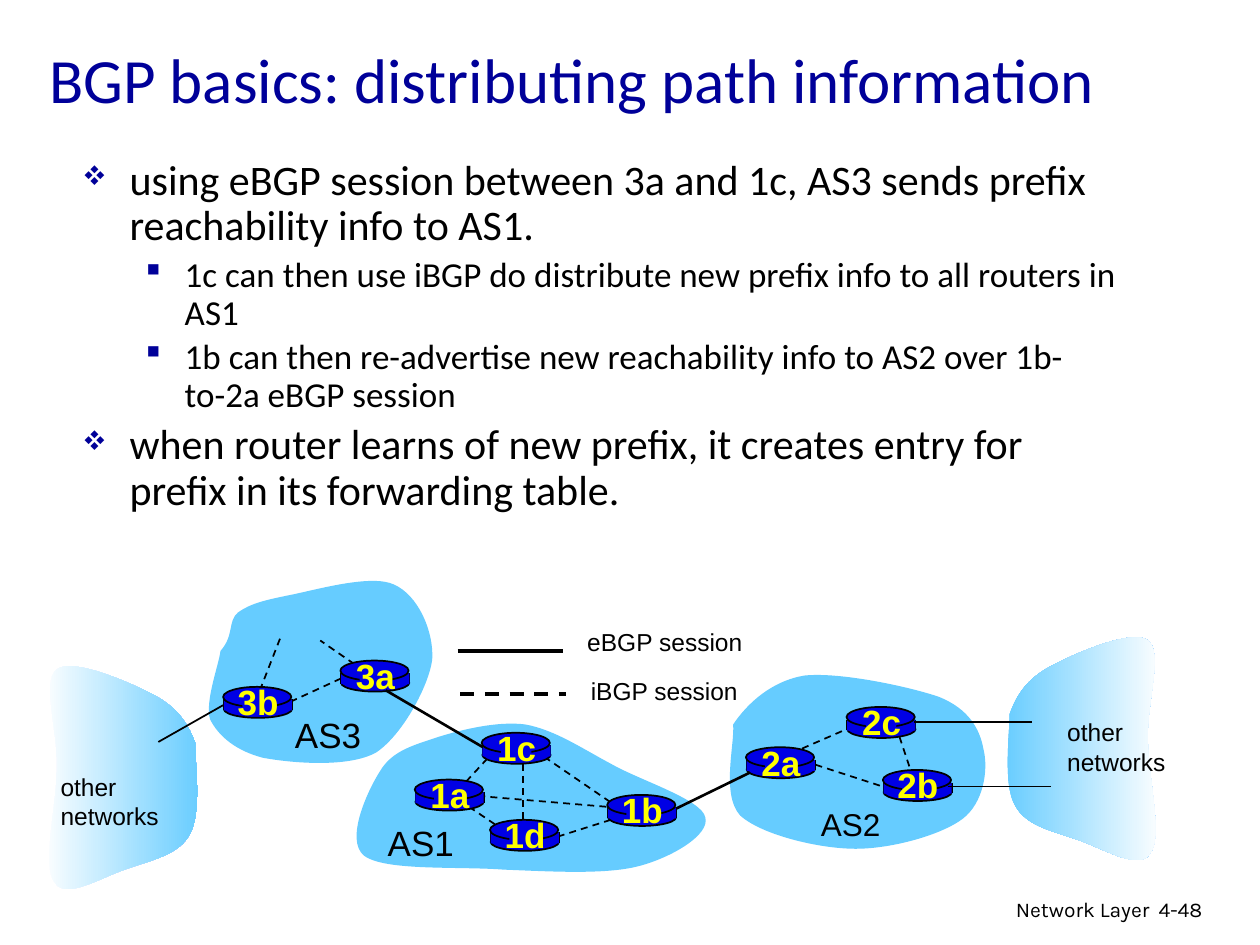
"""Builds the slide on how BGP distributes path information."""
import lxml.etree
import pptx
import pptx.dml.color
import pptx.enum.dml
import pptx.enum.shapes
import pptx.enum.text
import pptx.oxml.ns
import pptx.util

Pt = pptx.util.Pt
Rgb = pptx.dml.color.RGBColor.from_string
Shape = pptx.enum.shapes.MSO_SHAPE
Align = pptx.enum.text.PP_ALIGN
Fit = pptx.enum.text.MSO_AUTO_SIZE
qn = pptx.oxml.ns.qn
colors = {"navy": "000099", "sky": "66CCFF", "blue": "0000E5",
          "yellow": "FFFF00", "black": "000000", "white": "FFFFFF"}


def write(shapes, area, lines, size, face="Arial", color="black",
          align=Align.LEFT, bold=False, wrap=False):
    frame = shapes.add_textbox(*map(Pt, area)).text_frame
    frame.word_wrap = wrap
    frame.auto_size = Fit.NONE if wrap else Fit.SHAPE_TO_FIT_TEXT
    for i, words in enumerate(lines):
        para = frame.paragraphs[0] if i == 0 else frame.add_paragraph()
        para.alignment = align
        run = para.add_run()
        run.text = words
        run.font.name, run.font.size, run.font.bold = face, Pt(size), bold
        run.font.color.rgb = Rgb(colors[color])
    return frame


def join(shapes, ends, width=1, dashed=False):
    link = shapes.add_connector(pptx.enum.shapes.MSO_CONNECTOR.STRAIGHT, *map(Pt, ends))
    link.line.width = Pt(width)
    link.line.color.rgb = Rgb(colors["black"])
    if dashed:
        link.line.dash_style = pptx.enum.dml.MSO_LINE.DASH
    lxml.etree.SubElement(link._element.spPr, qn("a:effectLst"))


deck = pptx.Presentation()
deck.slide_width, deck.slide_height = Pt(720), Pt(540)
slide = deck.slides.add_slide(deck.slide_layouts[6])
items = slide.shapes

title = write(items, (21, 0, 633, 90), ["BGP basics: distributing path information"],
              36, "Calibri", "navy", wrap=True)
title.vertical_anchor = pptx.enum.text.MSO_ANCHOR.MIDDLE

points = [
    (0, "using eBGP session between 3a and 1c, AS3 sends prefix reachability info to AS1."),
    (1, "1c can then use iBGP do distribute new prefix info to all routers in AS1"),
    (1, "1b can then re-advertise new reachability info to AS2 over 1b-to-2a eBGP session"),
    (0, "when router learns of new prefix, it creates entry for prefix in its forwarding table."),
]
levels = [("v", 65, 27, 27, 24), ("§", 100, 58.5, 22.5, 20)]
body = write(items, (40, 87.5, 612, 186.5), [words for _, words in points],
             24, "Calibri", wrap=True)
for i, (level, _) in enumerate(points):
    mark, scale, left, hang, size = levels[level]
    para = body.paragraphs[i]
    para.level = level
    props = para._p.get_or_add_pPr()
    props.set("marL", str(Pt(left)))
    props.set("indent", str(-Pt(hang)))
    tint = lxml.etree.SubElement(props, qn("a:buClr"))
    lxml.etree.SubElement(tint, qn("a:srgbClr"), val=colors["navy"])
    lxml.etree.SubElement(props, qn("a:buSzPct"), val=str(scale * 1000))
    lxml.etree.SubElement(props, qn("a:buFont"), typeface="Wingdings", charset="2")
    lxml.etree.SubElement(props, qn("a:buChar"), char=mark)
    para.line_spacing = 0.9
    para.space_before = Pt(size / 5 if i else 0)
    para.runs[0].font.size = Pt(size)

outer = [(577, 408), (581, 397), (587, 388), (600, 381), (613, 374), (647, 359), (656, 366),
         (665, 373), (655, 402), (656, 423), (656, 444), (665, 479), (657, 488),
         (651, 498), (629, 484), (616, 480), (602, 475), (586, 472), (580, 460),
         (573, 448), (577, 419), (577, 408)]
mirror = [(688.5 - x, y + 16.5) for x, y in outer]
as1 = [(217, 441), (224, 429), (236, 426), (251, 421), (264, 417), (284, 412), (300, 414),
       (317, 417), (333, 428), (350, 437), (366, 446), (401, 457), (403, 467),
       (406, 477), (384, 490), (365, 495), (346, 500), (314, 498), (288, 497),
       (262, 495), (220, 498), (208, 489), (197, 480), (210, 452), (217, 441)]
as2 = [(419, 414), (427, 402), (441, 389), (460, 386), (480, 384), (518, 392), (536, 398),
       (554, 405), (560, 417), (562, 428), (565, 440), (562, 459), (550, 468),
       (538, 477), (510, 485), (489, 485), (468, 485), (435, 477), (423, 466),
       (412, 454), (420, 425), (419, 414)]
as3 = [(126, 372), (134, 363), (130, 355), (136, 350), (143, 345), (151, 343), (166, 340),
       (181, 337), (212, 328), (225, 334), (239, 340), (248, 361), (247, 377),
       (245, 392), (230, 420), (215, 430), (199, 439), (166, 436), (150, 433),
       (135, 429), (125, 421), (120, 411), (117, 401), (125, 380), (126, 372)]
clouds = [(outer, ("sky", "white")), (mirror, ("white", "sky")),
          (as1, ("sky",)), (as2, ("sky",)), (as3, ("sky",))]
for knots, tints in clouds:
    pen = items.build_freeform(*map(Pt, knots[0]))
    pen.add_line_segments([(Pt(x), Pt(y)) for x, y in knots[1:]], close=True)
    cloud = pen.convert_to_shape()
    legs = list(cloud._element.iter(qn("a:lnTo")))
    for k in range(0, len(legs), 3):
        bend = lxml.etree.Element(qn("a:cubicBezTo"))
        legs[k].addprevious(bend)
        for leg in legs[k:k + 3]:
            bend.append(leg[0])
            leg.getparent().remove(leg)
    cloud.shadow.inherit = False
    cloud.line.fill.background()
    if len(tints) == 1:
        cloud.fill.solid()
        cloud.fill.fore_color.rgb = Rgb(colors[tints[0]])
    else:
        cloud.fill.gradient()
        cloud.fill.gradient_angle = 0
        for stop, tint in zip(cloud.fill.gradient_stops, tints):
            stop.color.rgb = Rgb(colors[tint])

inner = [
    (166, 401, 197.5, 386.5), (202.5, 379.5, 183, 366), (160, 365, 148.5, 394.5),
    (278.5, 433.5, 266.5, 446.5), (299, 436.5, 299, 472.5), (311, 432.5, 350.5, 459.5),
    (349, 468.5, 319, 478), (346.5, 461, 275, 455), (268, 461, 283.5, 471.5),
    (452, 430.5, 486.5, 415.5), (466, 437, 504.5, 449.5), (514, 421, 520, 439),
]
for ends in inner:
    join(items, ends, dashed=True)

routers = [("3b", 127.5, 392.5), ("3a", 194.5, 377.5), ("1c", 275.25, 418.75),
           ("1a", 237, 445.5), ("1d", 280, 468.5), ("1b", 347, 454.25),
           ("2a", 426.25, 427), ("2c", 483.75, 404), ("2b", 504.5, 440)]
layers = [(Shape.OVAL, 0.4, 7.7, 39, 10), (Shape.RECTANGLE, 0.4, 7.2, 39, 6.3),
          (Shape.OVAL, 0, 0, 39, 11.5), (Shape.RECTANGLE, 11, 1.5, 17.5, 14.5)]
for name, x, y in routers:
    group = items.add_group_shape().shapes
    for n, (kind, dx, dy, wide, high) in enumerate(layers):
        part = group.add_shape(kind, *map(Pt, (x + dx, y + dy, wide, high)))
        part.shadow.inherit = False
        part.fill.solid()
        part.fill.fore_color.rgb = Rgb(colors["blue"])
        if kind == Shape.OVAL:
            part.line.color.rgb = Rgb(colors["black"])
            part.line.width = Pt(1)
        else:
            part.line.fill.background()
        if n == 0:
            for side in (x + 0.4, x + 39.4):
                join(group, (side, y + 7.2, side, y + 13.3))
    write(group, (x + 1, y - 7, 38, 31), [name], 20, color="yellow",
          align=Align.CENTER, bold=True)

for ends, width in [
    ((220.5, 394.5, 276, 427), 1.5), ((386.5, 462, 428.5, 441.5), 1.5),
    ((127.5, 403, 90.5, 424), 1), ((522.5, 412.5, 589.5, 412.5), 0.75),
    ((542, 449.5, 600.5, 449.5), 0.75), ((261.5, 372, 322, 372), 2),
]:
    join(items, ends, width)
join(items, (263, 396.5, 323.5, 396.5), 2, dashed=True)

for area, lines, size in [
    ((161.5, 404, 52.5, 31), ["AS3"], 20), ((214.5, 465.75, 52.5, 31), ["AS1"], 20),
    ((462, 456.5, 49, 29), ["AS2"], 18),
    ((328.5, 355, 103, 24), ["eBGP session"], 14),
    ((330.5, 382.5, 98.5, 24), ["iBGP session"], 14),
    ((602.75, 406.25, 70.5, 41), ["other", "networks"], 14),
    ((27.5, 437.5, 70.5, 41), ["other", "networks"], 14),
]:
    write(items, area, lines, size)

write(items, (435.5, 509, 228.5, 22), ["Network Layer"], 12, "Karla",
      align=Align.RIGHT, wrap=True)
write(items, (655, 509, 53.5, 22), ["4-48"], 12, "Karla", wrap=True)

deck.save("out.pptx")
